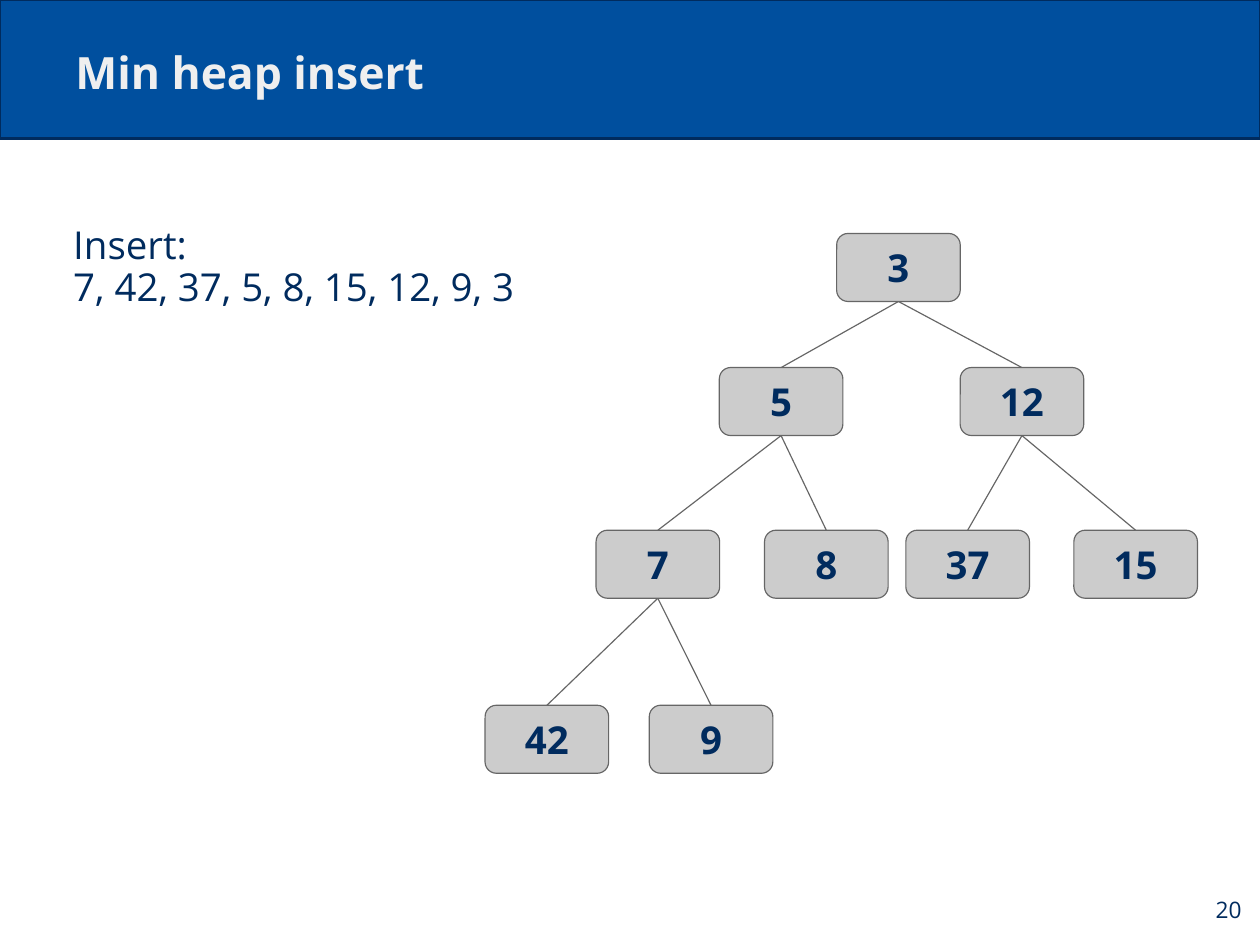
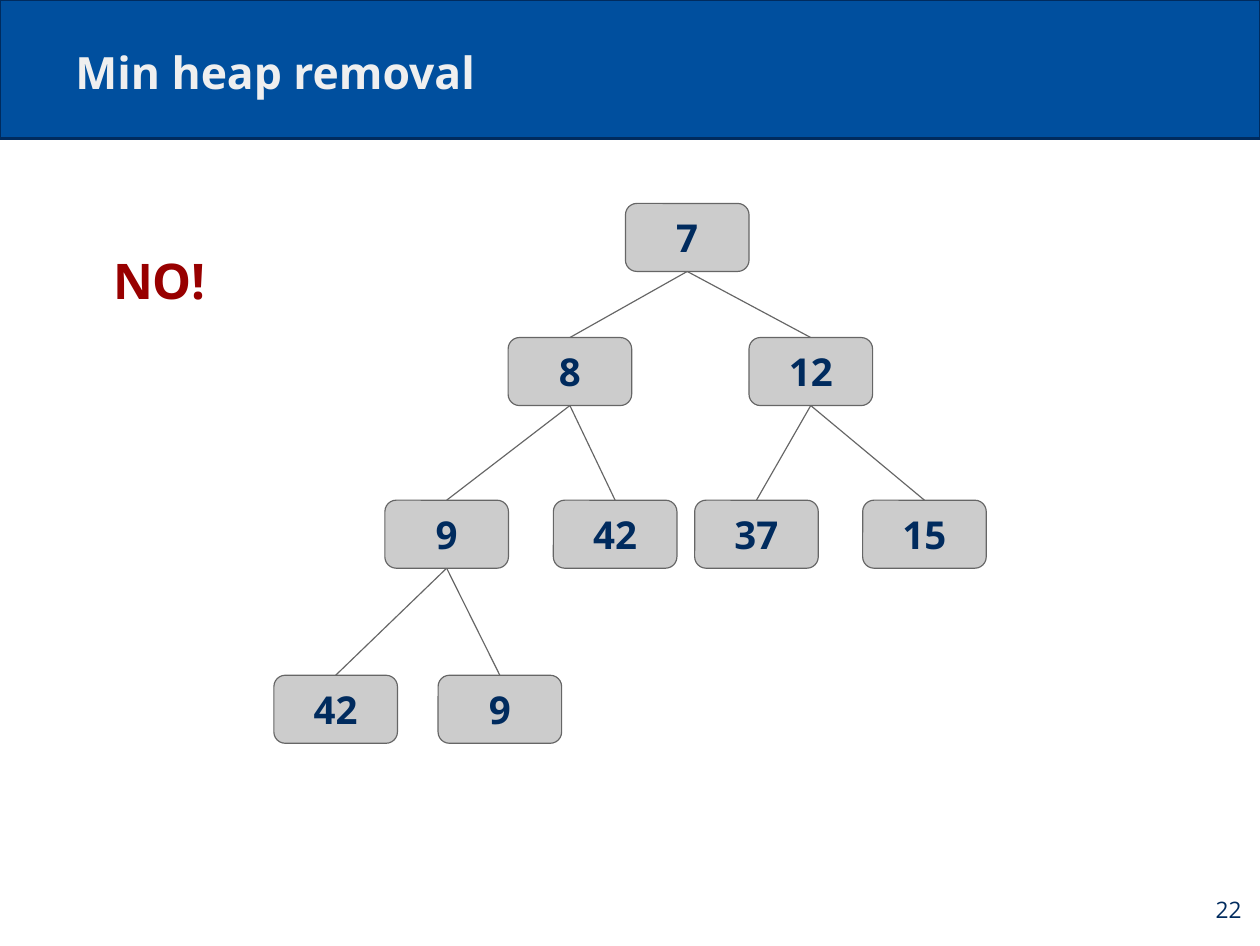
from lxml import etree
from pptx import Presentation
from pptx.dml.color import RGBColor
from pptx.enum.shapes import MSO_CONNECTOR, MSO_SHAPE
from pptx.enum.text import MSO_ANCHOR, MSO_AUTO_SIZE, PP_ALIGN
from pptx.oxml.ns import qn
from pptx.util import Pt

COLORS = {
    "band": "004F9E",
    "navy": "002B5E",
    "title": "EFEFEF",
    "node": "CCCCCC",
    "edge": "666666",
    "warning": "980000",
}
FONT = "Open Sans"
SLIDE_W, SLIDE_H = 793.5, 595.5
BAND_H = 87.1
INSET = 7.92
NODE_W, NODE_H = 77.8, 42.8
NODE_TEXT = 24.2

# Nodes in heap order: centre and top, both relative to the root.
LEVEL_TOPS = [0, 84.4, 186.8, 297]
LEVEL_CENTERS = [
    [0],
    [-73.9, 77.8],
    [-151.5, -45.4, 43.6, 149.4],
    [-221.4, -118],
]
NODE_OFFSETS = [
    (center, top)
    for top, centers in zip(LEVEL_TOPS, LEVEL_CENTERS)
    for center in centers
]


def color(name):
    return RGBColor.from_string(COLORS[name])


class HeapDeck:
    def __init__(self):
        self.deck = Presentation()
        self.deck.slide_width = Pt(SLIDE_W)
        self.deck.slide_height = Pt(SLIDE_H)
        self.layout = self.deck.slide_layouts[5]
        self.slide = None

    def start_slide(self, title, number):
        first = self.slide is None
        self.slide = self.deck.slides.add_slide(self.layout)
        if first:
            self.add_layout_band()
        heading = self.slide.shapes.title
        heading.left, heading.top = Pt(39.6), Pt(17.3)
        heading.width, heading.height = Pt(714.2), Pt(52.6)
        self.set_text(heading, title, 28, "title", bold=True, anchor=MSO_ANCHOR.BOTTOM)
        self.text(number, 742.3, 550.1, 47.5, 45.4, 14.3,
                  align=PP_ALIGN.RIGHT, anchor=MSO_ANCHOR.MIDDLE)

    def add_layout_band(self):
        """Draw the title band and move it to the back of the shared layout."""
        band = self.box(MSO_SHAPE.RECTANGLE, 0, 0, SLIDE_W, BAND_H, "band", "navy", 1.5)
        self.layout.shapes.element.insert(2, band.element)

    def box(self, preset, left, top, width, height, fill, line, line_width):
        shape = self.slide.shapes.add_shape(
            preset, Pt(left), Pt(top), Pt(width), Pt(height))
        shape.shadow.inherit = False
        shape.fill.solid()
        shape.fill.fore_color.rgb = color(fill)
        shape.line.color.rgb = color(line)
        shape.line.width = Pt(line_width)
        return shape

    def set_text(self, shape, text, size, ink, bold=False, align=PP_ALIGN.LEFT,
                 anchor=MSO_ANCHOR.TOP, spacing=1.0):
        frame = shape.text_frame
        frame.text = text
        frame.word_wrap = True
        frame.auto_size = MSO_AUTO_SIZE.NONE
        frame.vertical_anchor = anchor
        frame.margin_left = frame.margin_right = Pt(INSET)
        frame.margin_top = frame.margin_bottom = Pt(INSET)
        for paragraph in frame.paragraphs:
            paragraph.alignment = align
            paragraph.line_spacing = spacing
            paragraph.font.name = FONT
            paragraph.font.size = Pt(size)
            paragraph.font.bold = bold
            paragraph.font.color.rgb = color(ink)

    def text(self, text, left, top, width, height, size, ink="navy", **style):
        holder = self.slide.shapes.add_textbox(
            Pt(left), Pt(top), Pt(width), Pt(height))
        self.set_text(holder, text, size, ink, **style)

    def edge(self, start, end):
        line = self.slide.shapes.add_connector(
            MSO_CONNECTOR.STRAIGHT, *(Pt(value) for value in (*start, *end)))
        line.line.color.rgb = color("edge")
        line.line.width = Pt(0.75)
        etree.SubElement(line.element.spPr, qn("a:effectLst"))

    def node(self, key, center, top):
        shape = self.box(MSO_SHAPE.ROUNDED_RECTANGLE, center - NODE_W / 2, top,
                         NODE_W, NODE_H, "node", "edge", 0.75)
        self.set_text(shape, str(key), NODE_TEXT, "navy", bold=True,
                      align=PP_ALIGN.CENTER, anchor=MSO_ANCHOR.MIDDLE)

    def heap(self, keys, root_center, root_top):
        """Draw keys given in array order: the parent of i is (i - 1) // 2."""
        places = [(root_center + dx, root_top + dy) for dx, dy in NODE_OFFSETS]
        for child in range(1, len(keys)):
            center, top = places[(child - 1) // 2]
            self.edge((center, top + NODE_H), places[child])
        for key, place in zip(keys, places):
            self.node(key, *place)


def main():
    heaps = HeapDeck()

    heaps.start_slide("Min heap insert", "20")
    heaps.heap([3, 5, 12, 7, 8, 37, 15, 42, 9], 565.8, 147)
    heaps.text("Insert:\n7, 42, 37, 5, 8, 15, 12, 9, 3",
               38.2, 134.6, 317.5, 84.2, NODE_TEXT, spacing=0.9)

    heaps.start_slide("Min heap removal", "22")
    heaps.heap([7, 8, 12, 9, 42, 37, 15, 42, 9], 432.8, 128.1)
    heaps.text("NO!", 63.4, 154.1, 148.3, 67, 30.9, "warning", bold=True, spacing=0.9)

    heaps.deck.save("out.pptx")


if __name__ == "__main__":
    main()
